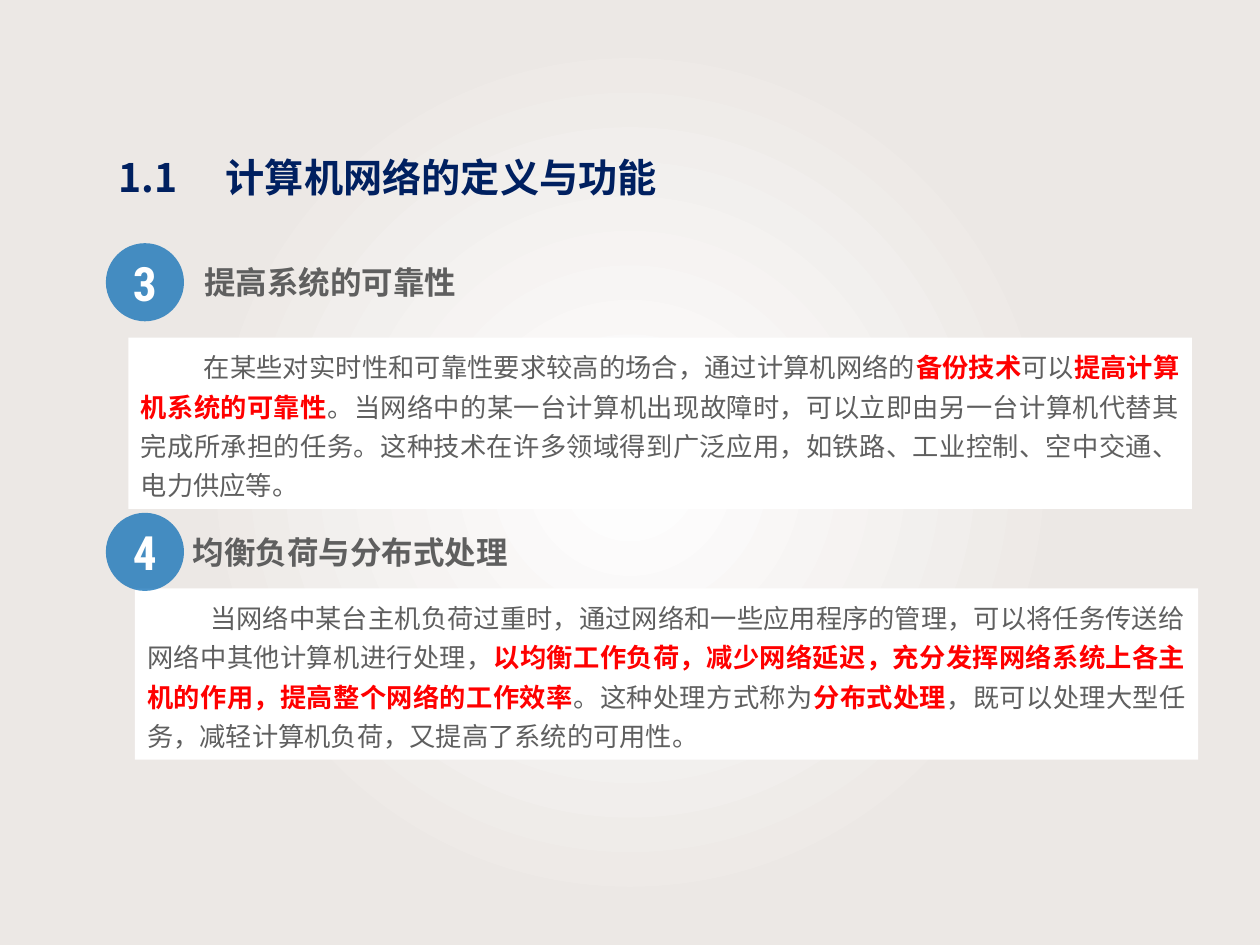
from dataclasses import dataclass

from lxml.etree import SubElement
from pptx import Presentation
from pptx.dml.color import RGBColor
from pptx.enum.shapes import MSO_SHAPE as Shape
from pptx.enum.text import MSO_ANCHOR as Anchor, MSO_AUTO_SIZE as AutoSize, PP_ALIGN as Align
from pptx.oxml.ns import qn
from pptx.util import Inches, Pt

COLORS = {
    "white": "FFFFFF",
    "edge": "ECE8E5",
    "badge": "0A6CB5",
    "body": "5F5F5F",
    "key": "FF0000",
    "title": "002060",
}
CJK = "Noto Sans CJK SC"
COLUMNS, ROWS = 100, 75
CELL = Inches(10) // COLUMNS


@dataclass
class Box:
    """A rectangle in grid columns and rows."""
    left: float
    top: float
    width: float
    height: float

    def inner(self, dx, dy, width, height):
        return Box(self.left + dx, self.top + dy, width, height)

    def lengths(self):
        return [round(n * CELL) for n in (self.left, self.top, self.width, self.height)]


def color(name):
    return RGBColor.from_string(COLORS[name])


def add_panel(shapes, kind, box, fill):
    panel = shapes.add_shape(kind, *box.lengths())
    panel.shadow.inherit = False
    panel.line.fill.background()
    panel.fill.solid()
    panel.fill.fore_color.rgb = color(fill)
    return panel


def set_margins(frame, side, top):
    frame.margin_left = frame.margin_right = Inches(side)
    frame.margin_top = frame.margin_bottom = Inches(top)


def style_span(span, size, font, ink, bold):
    span.font.size = Pt(size)
    span.font.name = font
    span.font.bold = bold
    span.font.color.rgb = color(ink)
    SubElement(span.font._element, qn("a:ea"), typeface=CJK)


def add_backdrop(page, box):
    """Full-page glow, white in the centre."""
    backdrop = add_panel(page.shapes, Shape.RECTANGLE, box, "white")
    backdrop.fill.gradient()
    stops = backdrop.fill.gradient_stops
    for stop, place, name in zip(stops, (0, 0.57), ("white", "edge")):
        stop.position = place
        stop.color.rgb = color(name)
    gradient = backdrop._element.spPr.find(qn("a:gradFill"))
    gradient.remove(gradient.find(qn("a:lin")))
    glow = SubElement(gradient, qn("a:path"), path="circle")
    SubElement(glow, qn("a:fillToRect"), l="50000", t="50000", r="50000", b="50000")


def add_title(page, box, text):
    frame = page.shapes.add_textbox(*box.lengths()).text_frame
    frame.word_wrap = True
    frame.vertical_anchor = Anchor.MIDDLE
    set_margins(frame, 0.07, 0.04)
    para = frame.paragraphs[0]
    para.text = text
    para.alignment = Align.CENTER
    para.line_spacing = 0.9
    style_span(para.runs[0], 22.4, CJK, "title", True)


def add_badge(shapes, box, number):
    badge = add_panel(shapes, Shape.OVAL, box, "badge")
    tint = badge._element.spPr.find(qn("a:solidFill"))[0]
    SubElement(tint, qn("a:alpha"), val="74000")
    frame = badge.text_frame
    frame.vertical_anchor = Anchor.MIDDLE
    set_margins(frame, 0.07, 0.04)
    para = frame.paragraphs[0]
    para.text = number
    para.alignment = Align.CENTER
    style_span(para.runs[0], 27, "Roboto Condensed", "white", True)


def add_heading(shapes, box, text):
    frame = shapes.add_textbox(*box.lengths()).text_frame
    frame.word_wrap = False
    frame.auto_size = AutoSize.SHAPE_TO_FIT_TEXT
    set_margins(frame, 0.12, 0)
    frame.text = text
    style_span(frame.paragraphs[0].runs[0], 18, CJK, "body", True)


def add_body(shapes, box, parts):
    """White panel whose parts are plain and key text in turn."""
    panel = add_panel(shapes, Shape.RECTANGLE, box, "white")
    frame = panel.text_frame
    frame.word_wrap = True
    frame.auto_size = AutoSize.SHAPE_TO_FIT_TEXT
    frame.vertical_anchor = Anchor.TOP
    para = frame.paragraphs[0]
    para.alignment = Align.JUSTIFY
    para.line_spacing = 1.25
    para._p.get_or_add_pPr().set("indent", str(Inches(0.5)))
    for index, part in enumerate(parts):
        is_key = index % 2 == 1
        span = para.add_run()
        span.text = part
        style_span(span, 15, "Times New Roman", "key" if is_key else "body", is_key)


def add_section(page, box, section):
    panel_dx, panel_dy = section["panel"]
    add_body(page.shapes, box.inner(panel_dx, panel_dy, 84.4, 13.6), section["parts"])
    header = page.shapes.add_group_shape().shapes
    # Each heading character is 18 pt wide, with a margin on both sides.
    width = len(section["heading"]) * 2.5 + 2.4
    add_heading(header, box.inner(section["heading_dx"], 1.6, width, 3), section["heading"])
    add_badge(header, box.inner(0, 0, 6.2, 6.2), section["number"])


SECTIONS = [
    {
        "number": "3",
        "heading": "提高系统的可靠性",
        "top": 19.3,
        "heading_dx": 6.6,
        "panel": (1.8, 7.5),
        "parts": [
            "在某些对实时性和可靠性要求较高的场合，通过计算机网络的",
            "备份技术",
            "可以",
            "提高计算机系统的可靠性",
            "。当网络中的某一台计算机出现故障时，可以立即由另一台计算机代替其完成所承担的任务。"
            "这种技术在许多领域得到广泛应用，如铁路、工业控制、空中交通、电力供应等。",
        ],
    },
    {
        "number": "4",
        "heading": "均衡负荷与分布式处理",
        "top": 40.7,
        "heading_dx": 5.7,
        "panel": (2.3, 6),
        "parts": [
            "当网络中某台主机负荷过重时，通过网络和一些应用程序的管理，"
            "可以将任务传送给网络中其他计算机进行处理，",
            "以均衡工作负荷，减少网络延迟，充分发挥网络系统上各主机的作用，提高整个网络的工作效率",
            "。这种处理方式称为",
            "分布式处理",
            "，既可以处理大型任务，减轻计算机负荷，又提高了系统的可用性。",
        ],
    },
]


def main():
    deck = Presentation()
    deck.slide_width, deck.slide_height = COLUMNS * CELL, ROWS * CELL
    page = deck.slides.add_slide(deck.slide_layouts[6])
    add_backdrop(page, Box(0, 0, COLUMNS, ROWS))
    for section in SECTIONS:
        add_section(page, Box(8.4, section["top"], 86.7, 21.1), section)
    add_title(page, Box(6.9, 11.5, 47.8, 5.6), "1.1　 计算机网络的定义与功能")
    deck.save("out.pptx")


if __name__ == "__main__":
    main()
